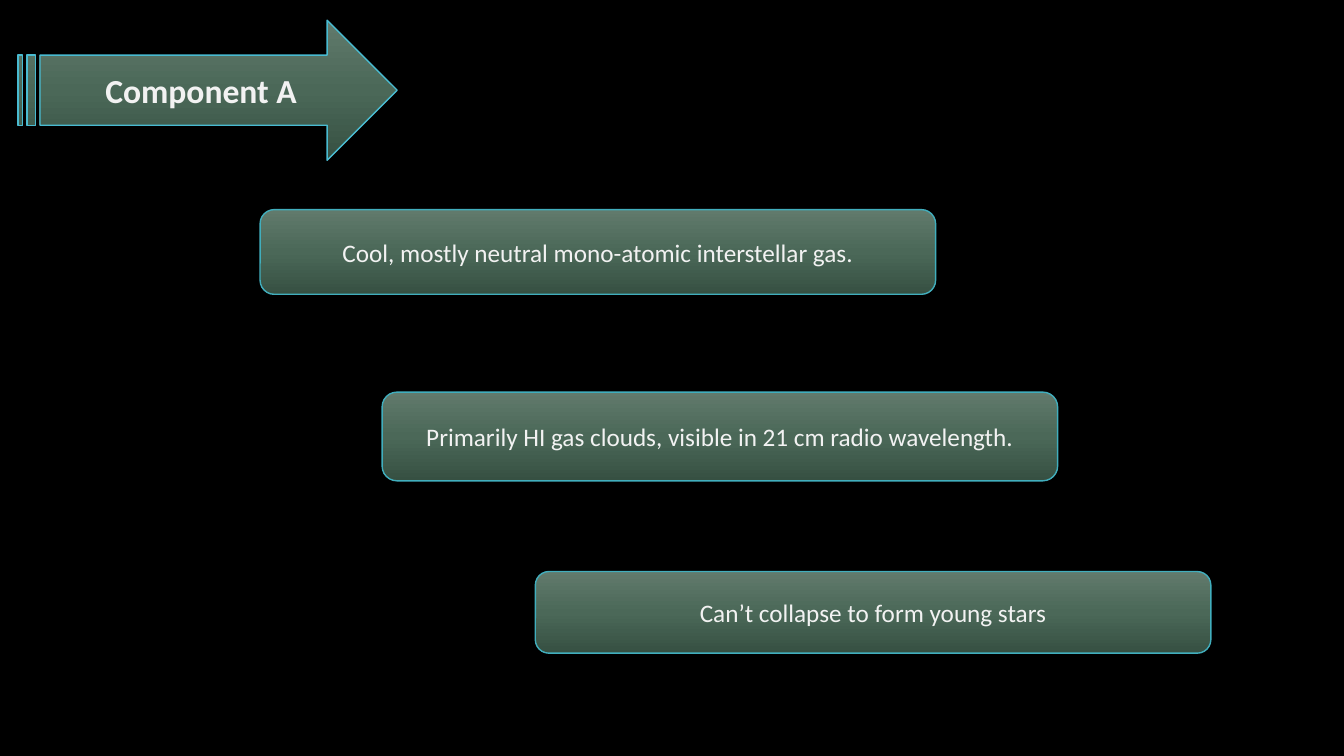
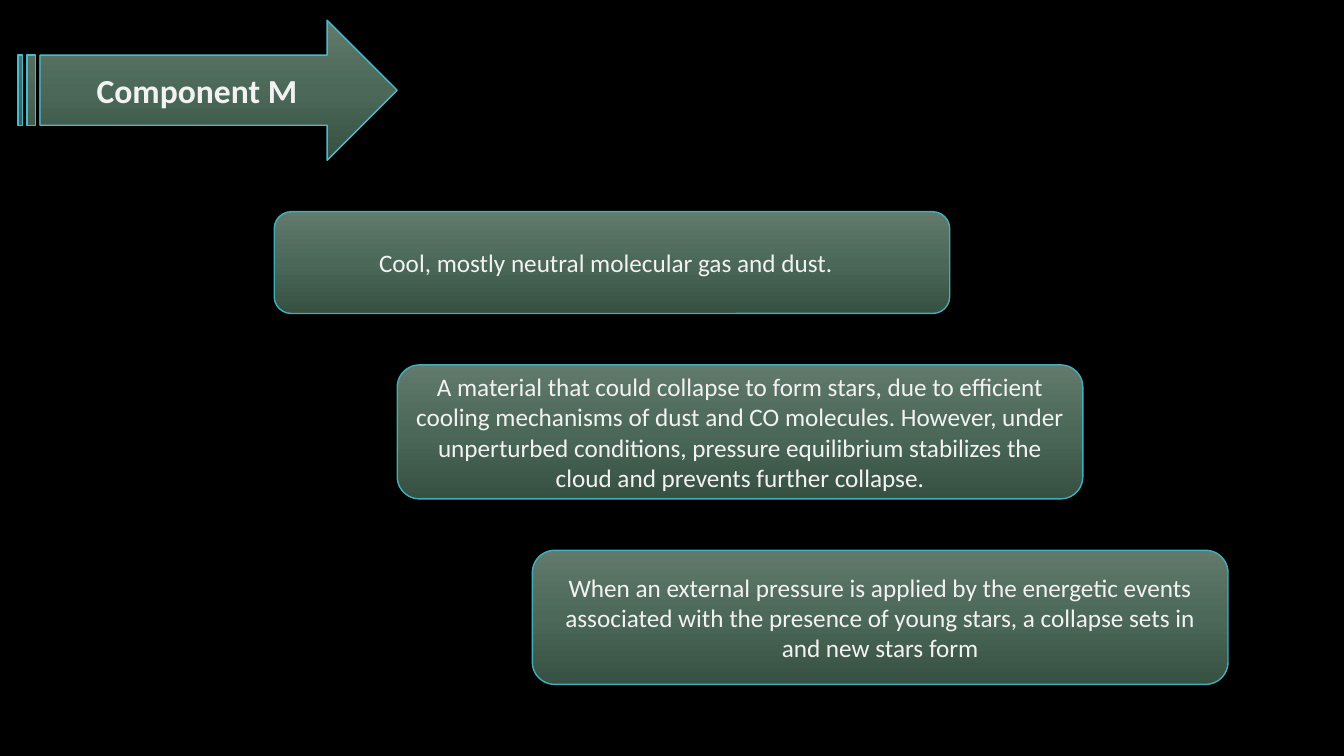
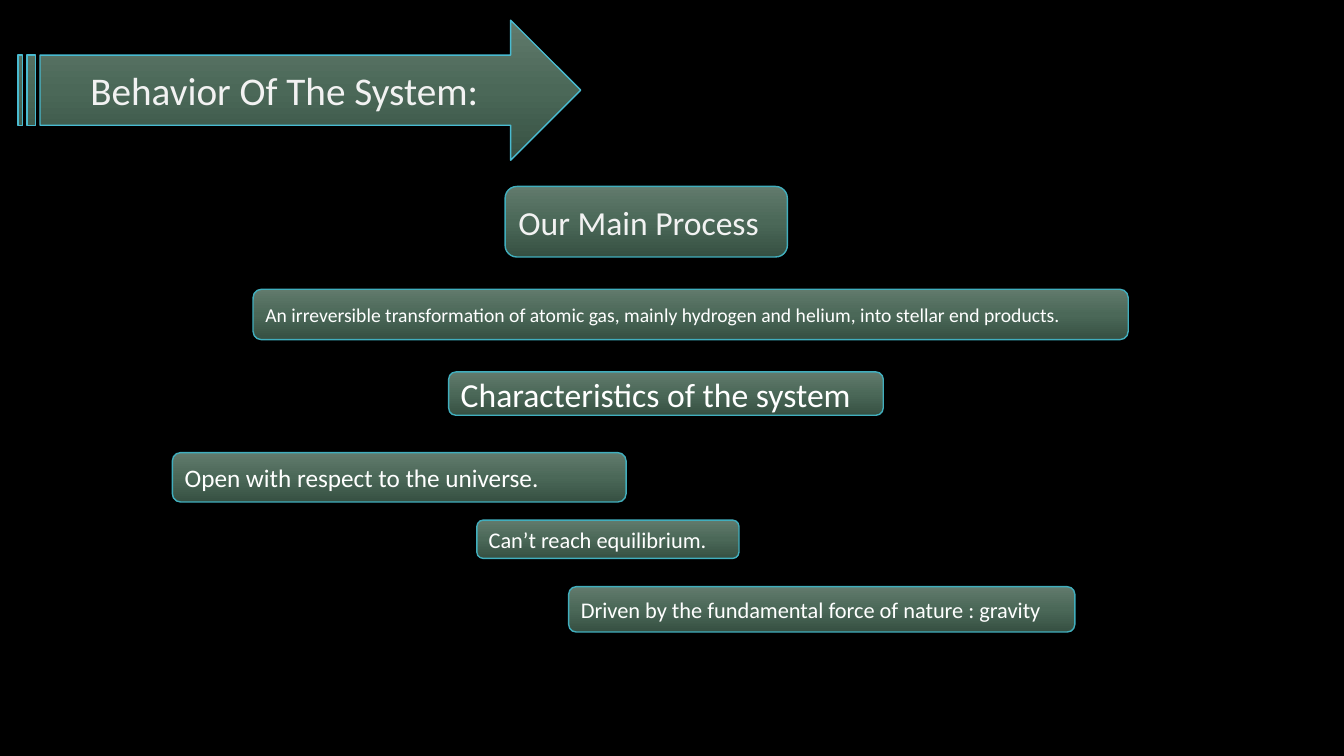
import copy
import pptx
import pptx.util
import pptx.dml.color
import pptx.enum.shapes
import pptx.enum.text
import pptx.oxml.ns

Inches = pptx.util.Inches
RGB = pptx.dml.color.RGBColor
KIND = pptx.enum.shapes.MSO_SHAPE
ALIGN = pptx.enum.text.PP_ALIGN

BLACK = RGB(0x00, 0x00, 0x00)
WHITE = RGB(0xFF, 0xFF, 0xFF)
PALE = RGB(0xF2, 0xF2, 0xF2)
CYAN = RGB(0x49, 0xBB, 0xD1)
TEAL = RGB(0x41, 0xAE, 0xBD)
GREENS = [RGB(0x61, 0x7A, 0x6C), RGB(0x4B, 0x68, 0x58), RGB(0x36, 0x50, 0x42)]
FONT = "Calibri"
PAD = 0.1


def add_panel(slide, kind, area, text, size, color, edge,
              align=ALIGN.CENTER, bold=False, right=PAD):
    """Add a green gradient shape with one paragraph; right is its right inset."""
    shape = slide.shapes.add_shape(kind, *[Inches(n) for n in area])
    shape.shadow.inherit = False
    shape.line.color.rgb = edge
    shape.line.width = pptx.util.Pt(1)

    fill = shape.fill
    fill.gradient()
    fill.gradient_angle = 270
    stops = shape._element.find(".//" + pptx.oxml.ns.qn("a:gsLst"))
    stops.insert(1, copy.deepcopy(stops[0]))
    for i, stop in enumerate(fill.gradient_stops):
        stop.position = i / 2
        stop.color.rgb = GREENS[i]

    frame = shape.text_frame
    frame.word_wrap = True
    frame.vertical_anchor = pptx.enum.text.MSO_ANCHOR.MIDDLE
    frame.margin_right = Inches(right)
    para = frame.paragraphs[0]
    para.text = text
    para.alignment = align
    para.font.name = FONT
    para.font.size = pptx.util.Pt(size)
    para.font.bold = bold
    para.font.color.rgb = color


def add_page(title, width, size, bold, right=PAD):
    """Add a slide headed by a striped arrow."""
    slide = prs.slides.add_slide(prs.slide_layouts[6])
    add_panel(slide, KIND.STRIPED_RIGHT_ARROW, (0.18, 0.2, width, 1.39),
              title, size, PALE, CYAN, bold=bold, right=right)
    return slide


prs = pptx.Presentation()
prs.slide_width = Inches(13.33)
prs.slide_height = Inches(7.5)
back = prs.slide_master.background.fill
back.solid()
back.fore_color.rgb = BLACK

BOX = KIND.FLOWCHART_ALTERNATE_PROCESS

# Components: title, title inset, then area, text and inset of each box
parts = [
    ("Component A", PAD, [
        ((2.58, 2.08, 6.7, 0.84),
         "Cool, mostly neutral mono-atomic interstellar gas.", PAD),
        ((3.79, 3.89, 6.7, 0.88),
         "Primarily HI gas clouds, visible in 21 cm radio wavelength.", PAD),
        ((5.31, 5.67, 6.7, 0.81), "Can’t collapse to form young stars", PAD),
    ]),
    ("Component M", 0.18, [
        ((2.72, 2.1, 6.7, 1.01),
         "Cool, mostly neutral molecular gas and dust.", 0.22),
        ((3.94, 3.62, 6.8, 1.33),
         "A material that could collapse to form stars, due to efficient "
         "cooling mechanisms of dust and CO molecules. However, under "
         "unperturbed conditions, pressure equilibrium stabilizes the cloud "
         "and prevents further collapse.", PAD),
        ((5.28, 5.46, 6.9, 1.33),
         "When an external pressure is applied by the energetic events "
         "associated with the presence of young stars, a collapse sets in "
         "and new stars form", PAD),
    ]),
]
for title, inset, boxes in parts:
    slide = add_page(title, 3.76, 24, True, inset)
    for area, text, right in boxes:
        add_panel(slide, BOX, area, text, 18, PALE, TEAL, right=right)

# Behavior of the system
slide = add_page("Behavior Of The System:", 5.58, 28, False, 0.27)
traits = [
    ((5.01, 1.85, 2.8, 0.7), "Our Main Process", 24, PALE),
    ((2.51, 2.87, 8.68, 0.5),
     "An irreversible transformation of atomic gas, mainly hydrogen and "
     "helium, into stellar end products.", 14, WHITE),
    ((4.45, 3.69, 4.31, 0.43), "Characteristics of the system", 24, WHITE),
    ((1.71, 4.49, 4.5, 0.49), "Open with respect to the universe.", 18, WHITE),
    ((4.73, 5.16, 2.6, 0.38), "Can’t reach equilibrium.", 16, WHITE),
    ((5.64, 5.82, 5.02, 0.45),
     "Driven by the fundamental force of nature : gravity", 16, WHITE),
]
for area, text, size, color in traits:
    add_panel(slide, BOX, area, text, size, color, TEAL, ALIGN.LEFT)

prs.save("out.pptx")
